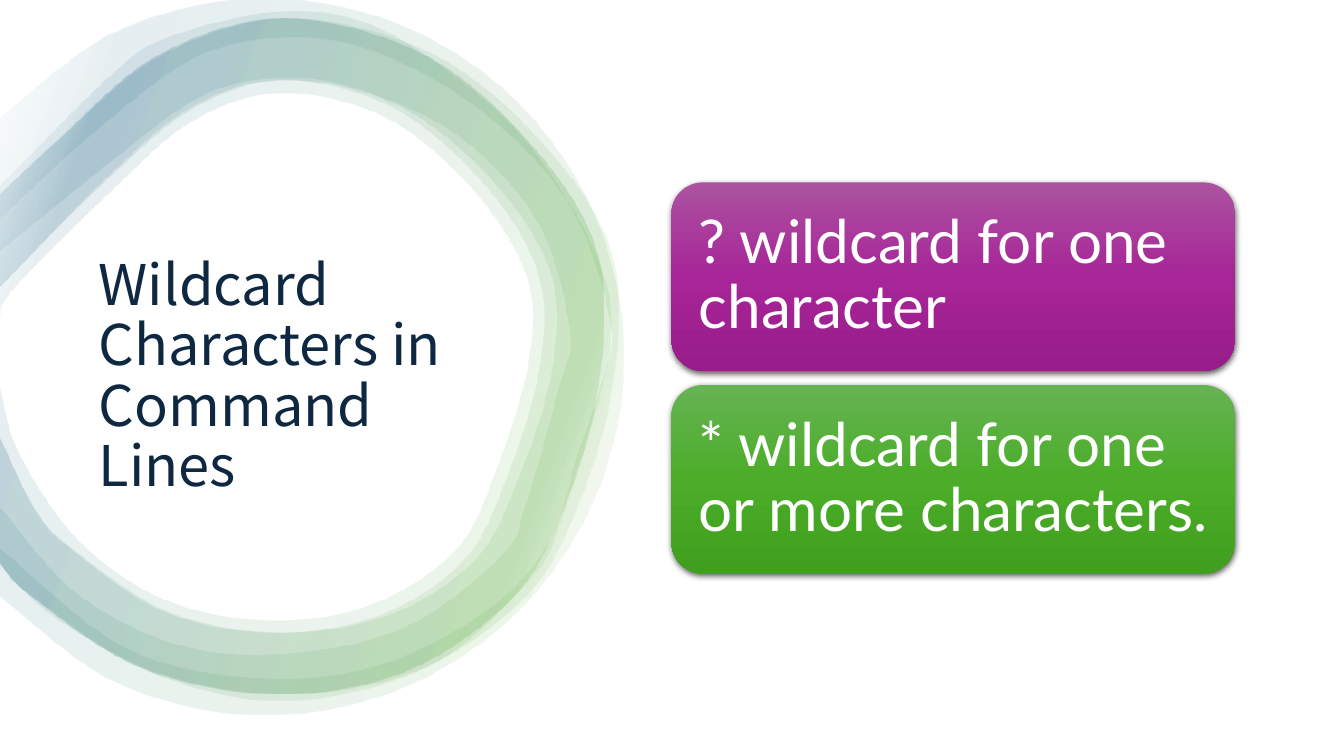
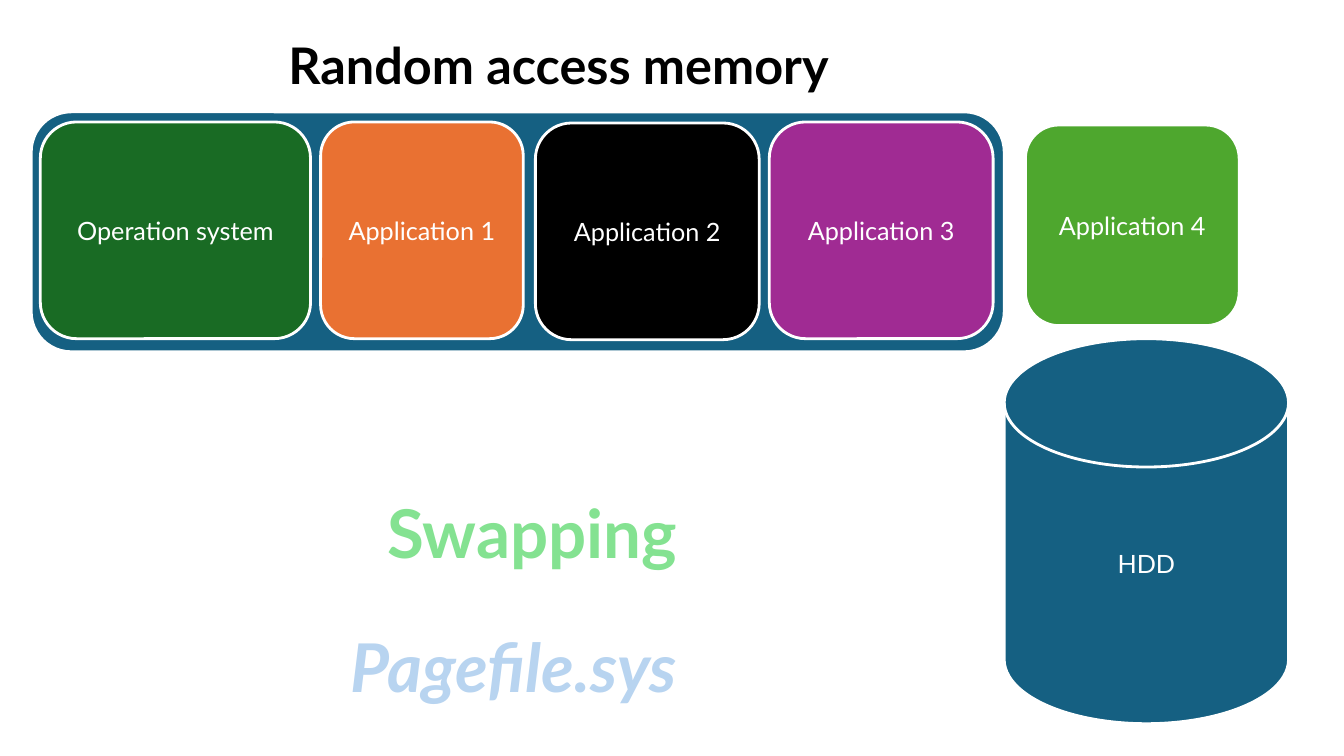
from collections import namedtuple
from math import cos, radians, sin

from pptx import Presentation
from pptx.dml.color import RGBColor
from pptx.enum.dml import MSO_PATTERN
from pptx.enum.shapes import MSO_SHAPE as SHAPE
from pptx.enum.text import MSO_ANCHOR as ANCHOR, MSO_AUTO_SIZE as AUTO, PP_ALIGN as ALIGN
from pptx.oxml import parse_xml
from pptx.oxml.ns import nsdecls
from pptx.util import Inches, Pt

Box = namedtuple("Box", "x y w h")

COLORS = {
    "white": "FFFFFF", "black": "000000", "navy": "0E2841", "teal": "156082",
    "forest": "196B24", "orange": "E97132", "purple": "A02B93", "green": "4EA72E",
    "mint": "84E291", "mint_edge": "0D3612", "sky": "B8D4F0", "sky_edge": "0B1E31",
    "plum_light": "AC53A0", "plum": "A62598", "plum_dark": "991C8B",
    "leaf_light": "66B354", "leaf": "4BAD28", "leaf_dark": "409F1E",
}
PURPLE_CARD = [(0, "plum_light"), (50, "plum"), (100, "plum_dark")]
GREEN_CARD = [(0, "leaf_light"), (50, "leaf"), (100, "leaf_dark")]
RING_STOPS = [(2, "white"), (16, "green"), (85, "teal"), (100, "white")]
BODY_FONT = "Lato"
TITLE_FONT = "Noto Sans CJK SC"

BAND_OUTER = [
    (0, 1.92), (0.56, 1.39), (1.55, 0.55), (2.79, 0.18), (4.18, 0.53), (5.25, 1.42),
    (5.92, 2.52), (5.92, 3.86), (5.54, 5.14), (5.03, 5.97), (4, 6.66), (2.71, 6.88),
    (1.37, 6.61), (0.27, 5.88), (0, 5.58)]
BAND_INNER = [
    (0, 4.34), (0.34, 5.05), (0.7, 5.44), (1.62, 6.06), (2.71, 6.27), (3.77, 6.09),
    (4.6, 5.54), (5.02, 4.72), (5.34, 3.65), (5.33, 2.72), (4.79, 1.82), (3.88, 1.06),
    (2.79, 0.79), (1.87, 1.07), (0.99, 1.82), (0, 2.84)]
WIDE_INNER = [
    (0, 3.83), (0.18, 4.48), (0.78, 5.36), (1.65, 5.95), (2.71, 6.15), (3.7, 5.98),
    (4.51, 5.45), (4.9, 4.69), (5.23, 3.6), (5.22, 2.76), (4.7, 1.9), (3.83, 1.17),
    (2.79, 0.92), (1.9, 1.2), (1.08, 1.91), (0.13, 2.86), (0, 3.13)]
LOOP_OUTER = [
    (0, 1.84), (1.09, 0.75), (1.66, 0.37), (2.75, 0.12), (3.73, 0.27), (4.84, 1.03),
    (5.47, 1.76), (5.94, 2.62), (6.05, 3.29), (5.93, 3.96), (5.57, 5.11), (5.27, 5.72),
    (4.28, 6.59), (2.92, 6.95), (1.7, 6.75), (0.56, 6.14), (0, 5.61)]
LOOP_INNER = [
    (0, 5.03), (0.76, 5.89), (1.81, 6.41), (2.97, 6.47), (4.07, 6.19), (4.97, 5.5),
    (5.2, 5.01), (5.54, 3.81), (5.64, 3.29), (5.33, 2.22), (4.55, 1.36), (3.53, 0.88),
    (2.72, 0.78), (1.96, 0.97), (1.05, 1.64), (0, 2.49)]
CIRCLE_OUTER = [(2.63 + 3.55 * cos(radians(a)), 3.54 + 3.55 * sin(radians(a)))
                for a in range(-138, 139, 23)]
CIRCLE_INNER = [
    (0, 5.44), (1.2, 6.4), (2.41, 6.71), (3.66, 6.62), (4.78, 6.08), (5.42, 5.4),
    (5.73, 4.47), (5.94, 3.85), (6.05, 3.22), (5.63, 2.02), (4.75, 1.09), (3.67, 0.5),
    (2.77, 0.38), (1.9, 0.59), (0.9, 1.34), (0, 2.17)]
RINGS = [(LOOP_OUTER, LOOP_INNER, 1), (BAND_OUTER, BAND_INNER, 1.025),
         (BAND_OUTER, WIDE_INNER, 1), (BAND_OUTER, BAND_INNER, 1),
         (CIRCLE_OUTER, CIRCLE_INNER, 1)]


def rgb(name):
    return RGBColor.from_string(COLORS[name])


def emu(box):
    return [Inches(v) for v in box]


def smooth_outline(sp, corner):
    outline = sp._element.spPr.find(".//{*}path")
    nodes = [n for n in outline if len(n)]
    knots = [(int(n[0].get("x")), int(n[0].get("y"))) for n in nodes]
    for first, last in ((0, corner - 1), (corner, len(knots) - 1)):
        for i in range(first, last):
            a, b, c, d = (knots[min(max(j, first), last)] for j in range(i - 1, i + 3))
            controls = ([q + (r - p) // 6 for p, q, r in zip(a, b, c)],
                        [r - (s - q) // 6 for q, r, s in zip(b, c, d)], c)
            points = "".join(f'<a:pt x="{x}" y="{y}"/>' for x, y in controls)
            outline.replace(nodes[i + 1], parse_xml(
                f'<a:cubicBezTo {nsdecls("a")}>{points}</a:cubicBezTo>'))


def gradient(sp, stops, angle, alpha=100):
    sp.fill.background()
    gs = "".join(
        f'<a:gs pos="{pos * 1000}"><a:srgbClr val="{COLORS[color]}">'
        f'<a:alpha val="{alpha * 1000}"/></a:srgbClr></a:gs>' for pos, color in stops)
    fill = parse_xml(
        f'<a:gradFill {nsdecls("a")} rotWithShape="1"><a:gsLst>{gs}</a:gsLst>'
        f'<a:lin ang="{angle * 60000}" scaled="0"/></a:gradFill>')
    spPr = sp._element.spPr
    spPr.replace(spPr.find("{*}noFill"), fill)
    sp.line.fill.background()


def drop_shadow(sp):
    sp._element.spPr.find("{*}effectLst").append(parse_xml(
        f'<a:outerShdw {nsdecls("a")} blurRad="57150" dist="19050" dir="5400000" '
        'algn="ctr" rotWithShape="0"><a:srgbClr val="000000"><a:alpha val="63000"/>'
        '</a:srgbClr></a:outerShdw>'))


def write(sp, text, size, color, font=BODY_FONT, align=ALIGN.LEFT, anchor=ANCHOR.MIDDLE,
          spacing=1, bold=False, italic=False):
    tf = sp.text_frame
    tf.word_wrap = True
    tf.auto_size = AUTO.NONE
    tf.vertical_anchor = anchor
    tf.text = text
    p = tf.paragraphs[0]
    p.alignment = align
    p.line_spacing = spacing
    r = p.runs[0]
    r.font.name, r.font.size = font, Pt(size)
    r.font.bold, r.font.italic = bold, italic
    r.font.color.rgb = rgb(color)
    return r


def add_shape(slide, kind, box):
    sp = slide.shapes.add_shape(kind, *emu(box))
    sp.shadow.inherit = False
    return sp


def place_title(slide, box, text, size, color, **style):
    s = slide.shapes.title
    s.left, s.top, s.width, s.height = emu(box)
    write(s, text, size, color, **style)


def ring(slide, box):
    for outer, inner, stretch in RINGS:
        points = [(Inches(max(x, 0) * stretch), Inches(y)) for x, y in outer + inner]
        builder = slide.shapes.build_freeform(*points[0], scale=1.0)
        builder.add_line_segments(points[1:], close=True)
        sp = builder.convert_to_shape(Inches(box.x), Inches(box.y))
        sp.shadow.inherit = False
        smooth_outline(sp, len(outer))
        gradient(sp, RING_STOPS, 200, alpha=10)


def card_list(slide, box, cards, gap=0.14):
    height = (box.h - gap * (len(cards) - 1)) / len(cards)
    for i, (text, stops) in enumerate(cards):
        sp = add_shape(slide, SHAPE.ROUNDED_RECTANGLE,
                       Box(box.x, box.y + i * (height + gap), box.w, height))
        gradient(sp, stops, 90)
        drop_shadow(sp)
        tf = sp.text_frame
        tf.margin_left = tf.margin_right = Inches(0.18)
        write(sp, text, 43, "white", spacing=0.9)


def block(slide, box, color, text=None, kind=SHAPE.ROUNDED_RECTANGLE):
    sp = add_shape(slide, kind, box)
    sp.fill.solid()
    sp.fill.fore_color.rgb = rgb(color)
    sp.line.color.rgb = rgb("white")
    sp.line.width = Pt(2)
    if text:
        write(sp, text, 18, "white", align=ALIGN.CENTER)


def memory(slide, box):
    block(slide, box, "teal")
    for x, y, w, color, text in [
            (0.09, 0.1, 2.68, "forest", "Operation system"),
            (2.87, 0.1, 2.01, "orange", "Application 1"),
            (5, 0.11, 2.22, "black", "Application 2"),
            (7.32, 0.1, 2.22, "purple", "Application 3")]:
        block(slide, Box(box.x + x, box.y + y, w, 2.15), color, text)


def storage(slide, box):
    block(slide, Box(box.x, box.y + 2.12, box.w, box.h - 2.12), "teal", "HDD",
          SHAPE.FLOWCHART_MAGNETIC_DISK)
    block(slide, Box(box.x + 0.21, box.y, 2.12, 1.99), "green", "Application 4")


def patterned_word(slide, box, text, pattern, front, back, edge, italic=False):
    s = slide.shapes.add_textbox(*emu(box))
    r = write(s, text, 48, back, anchor=ANCHOR.TOP, bold=True, italic=italic)
    fill = r.font.fill
    fill.patterned()
    fill.pattern = pattern
    fill.fore_color.rgb = rgb(front)
    fill.back_color.rgb = rgb(back)
    r.font._element.insert(0, parse_xml(
        f'<a:ln {nsdecls("a")} w="12700"><a:solidFill>'
        f'<a:srgbClr val="{COLORS[edge]}"/></a:solidFill></a:ln>'))


def wildcard_slide(slide):
    ring(slide, Box(0, 0, 6.18, 7.09))
    place_title(slide, Box(0.88, 2.21, 4, 3.08), "Wildcard Characters in Command Lines",
                40, "navy", font=TITLE_FONT, spacing=0.9)
    card_list(slide, Box(6.66, 1.81, 5.59, 3.88), [
        ("? wildcard for one character", PURPLE_CARD),
        ("* wildcard for one or more characters.", GREEN_CARD)])


def memory_slide(slide):
    memory(slide, Box(0.31, 1.11, 9.65, 2.38))
    storage(slide, Box(9.96, 1.24, 2.82, 5.94))
    place_title(slide, Box(2.76, 0.29, 6.39, 0.71), "Random access memory", 36, "black",
                anchor=ANCHOR.TOP, bold=True)
    patterned_word(slide, Box(3.74, 4.82, 3.78, 0.91), "Swapping",
                   MSO_PATTERN.NARROW_HORIZONTAL, "forest", "mint", "mint_edge")
    patterned_word(slide, Box(3.38, 6.15, 4.15, 0.91), "Pagefile.sys",
                   MSO_PATTERN.DARK_UPWARD_DIAGONAL, "navy", "sky", "sky_edge", italic=True)


def main():
    prs = Presentation()
    prs.slide_width, prs.slide_height = Inches(13.33), Inches(7.5)
    for build in (wildcard_slide, memory_slide):
        build(prs.slides.add_slide(prs.slide_layouts[5]))
    prs.save("out.pptx")


if __name__ == "__main__":
    main()
